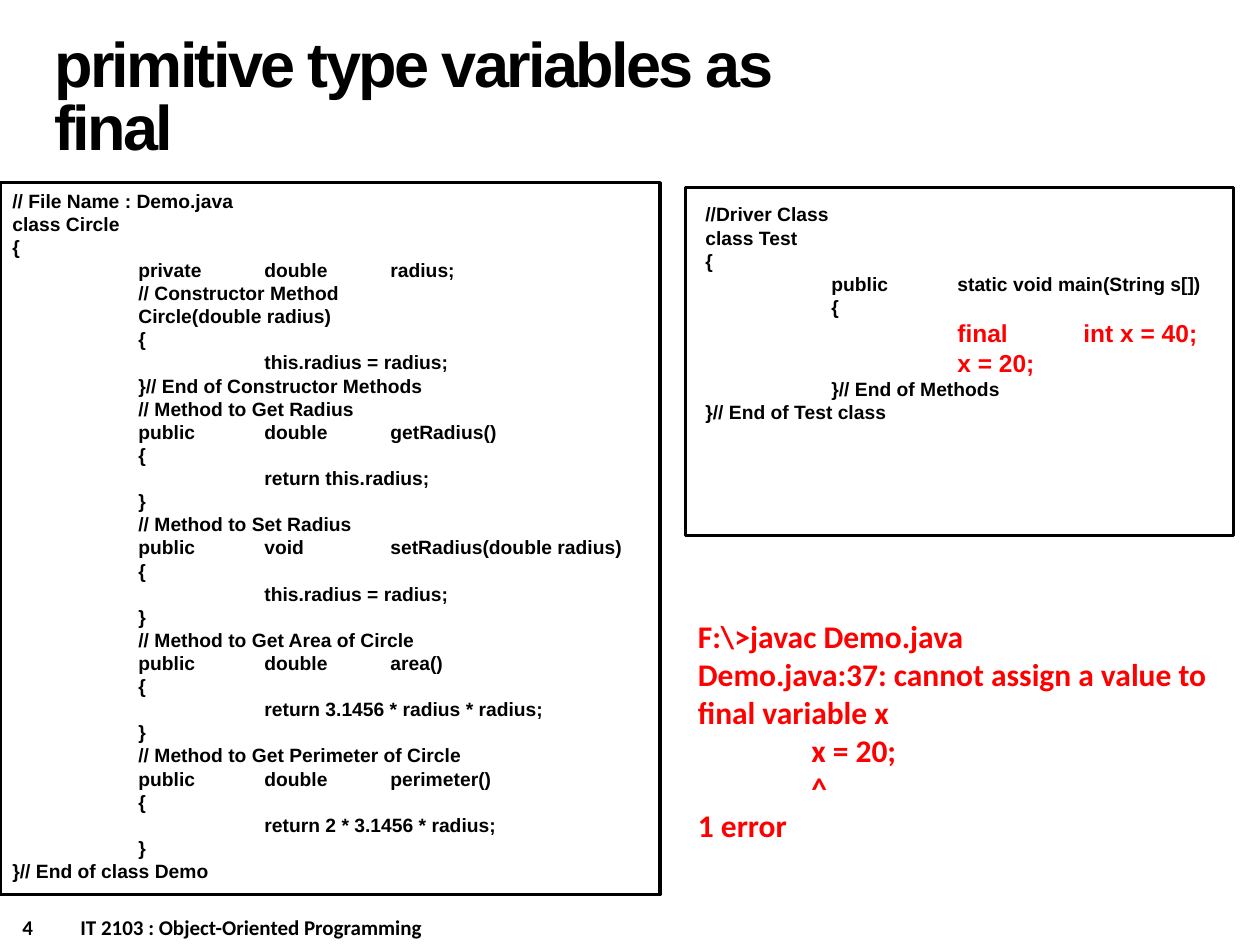
from pptx import Presentation
from pptx.dml.color import RGBColor
from pptx.enum.shapes import MSO_SHAPE
from pptx.enum.text import MSO_ANCHOR, MSO_AUTO_SIZE, PP_ALIGN
from pptx.util import Inches, Pt

RECTANGLE = MSO_SHAPE.RECTANGLE
MIDDLE = MSO_ANCHOR.MIDDLE
FIXED, GROW = MSO_AUTO_SIZE.NONE, MSO_AUTO_SIZE.SHAPE_TO_FIT_TEXT
LEFT = PP_ALIGN.LEFT
TITLE_ONLY = 5

COLORS = {"ink": "000000", "error": "FF0000"}

CIRCLE_CLASS = """\
// File Name : Demo.java
class Circle
{
\tprivate\tdouble\tradius;
\t// Constructor Method
\tCircle(double radius)
\t{
\t\tthis.radius = radius;
\t}// End of Constructor Methods
\t// Method to Get Radius
\tpublic\tdouble\tgetRadius()
\t{
\t\treturn this.radius;
\t}
\t// Method to Set Radius
\tpublic\tvoid\tsetRadius(double radius)
\t{
\t\tthis.radius = radius;
\t}
\t// Method to Get Area of Circle
\tpublic\tdouble\tarea()
\t{
\t\treturn 3.1456 * radius * radius;
\t}
\t// Method to Get Perimeter of Circle
\tpublic\tdouble\tperimeter()
\t{
\t\treturn 2 * 3.1456 * radius;
\t}
}// End of class Demo"""

DRIVER_CLASS = """\
//Driver Class
class Test
{
\tpublic\tstatic void main(String s[])
\t{
\t\tfinal\tint x = 40;
\t\tx = 20;
\t}// End of Methods
}// End of Test class"""
FINAL_LINES = ("\t\tfinal\tint x = 40;", "\t\tx = 20;")

COMPILER_OUTPUT = [
    ("F:\\>javac Demo.java", 0),
    ("Demo.java:37: cannot assign a value to final variable x", 0),
    ("x = 20;", 0.9),
    ("^", 0.9),
    ("1 error", 0),
]


class CodeSlide:
    code_font, prose_font = "Arial", "Calibri"
    tab_width = Inches(1)

    def __init__(self, slide):
        self.slide = slide

    def run(self, paragraph, text, size, font, color="ink"):
        run = paragraph.add_run()
        run.text = text
        run.font.size = Pt(size)
        run.font.name = font
        run.font.bold = True
        run.font.color.rgb = RGBColor.from_string(COLORS[color])
        return run

    def title(self, text, left, top, width, height):
        title = self.slide.shapes.title
        title.left, title.top = Inches(left), Inches(top)
        title.width, title.height = Inches(width), Inches(height)
        frame = title.text_frame
        frame.auto_size = FIXED
        frame.vertical_anchor = MIDDLE
        frame.margin_right = Inches(0.4)
        heading = frame.paragraphs[0]
        heading.alignment = LEFT
        heading.line_spacing = Pt(36)
        run = self.run(heading, text, 36, self.code_font)
        run.font._element.set("spc", "-150")

    def text_box(self, left, top, width, height, line_count):
        """Add a growing text box and return its empty paragraphs."""
        box = self.slide.shapes.add_textbox(
            Inches(left), Inches(top), Inches(width), Inches(height))
        frame = box.text_frame
        frame.word_wrap = True
        frame.auto_size = GROW
        for _ in range(line_count - 1):
            frame.add_paragraph()
        return frame.paragraphs

    def indent(self, paragraph, margin, first_line=0):
        properties = paragraph._p.get_or_add_pPr()
        properties.set("marL", str(Inches(margin)))
        properties.set("indent", str(Inches(first_line)))

    def code(self, source, left, top, width, height, highlighted=()):
        lines = source.split("\n")
        paragraphs = self.text_box(left, top, width, height, len(lines))
        for paragraph, line in zip(paragraphs, lines):
            paragraph._p.get_or_add_pPr().set("defTabSz", str(self.tab_width))
            if line in highlighted:
                self.run(paragraph, line, 14, self.code_font, "error")
            else:
                self.run(paragraph, line, 11, self.code_font)

    def frame(self, left, top, width, height):
        outline = self.slide.shapes.add_shape(
            RECTANGLE, Inches(left), Inches(top), Inches(width), Inches(height))
        outline.shadow.inherit = False
        outline.fill.background()
        outline.line.color.rgb = RGBColor.from_string(COLORS["ink"])
        outline.line.width = Pt(2)

    def console(self, lines, left, top, width, height):
        paragraphs = self.text_box(left, top, width, height, len(lines))
        for paragraph, (line, margin) in zip(paragraphs, lines):
            self.indent(paragraph, margin)
            self.run(paragraph, line, 18, self.prose_font, "error")

    def footer(self, number, course, left, top, width, height):
        paragraph = self.text_box(left, top, width, height, 1)[0]
        self.indent(paragraph, 0.46, -0.46)
        self.run(paragraph, f"{number}\t{course}", 12, self.prose_font)


def main():
    deck = Presentation()
    deck.slide_width, deck.slide_height = Inches(10), Inches(7.5)
    page = CodeSlide(deck.slides.add_slide(deck.slide_layouts[TITLE_ONLY]))

    page.footer(4, "IT 2103 : Object-Oriented Programming", 0.08, 7.21, 5, 0.3)
    page.title("primitive type variables as final", 0.33, 0.17, 6.92, 1.25)
    page.code(CIRCLE_CLASS, 0, 1.45, 5.08, 5.65)
    page.frame(0, 1.45, 5.24, 5.65)
    page.code(DRIVER_CLASS, 5.5, 1.56, 4.29, 1.87, FINAL_LINES)
    page.frame(5.44, 1.49, 4.35, 2.76)
    page.console(COMPILER_OUTPUT, 5.44, 4.85, 4.35, 1.92)
    deck.save("out.pptx")


if __name__ == "__main__":
    main()
